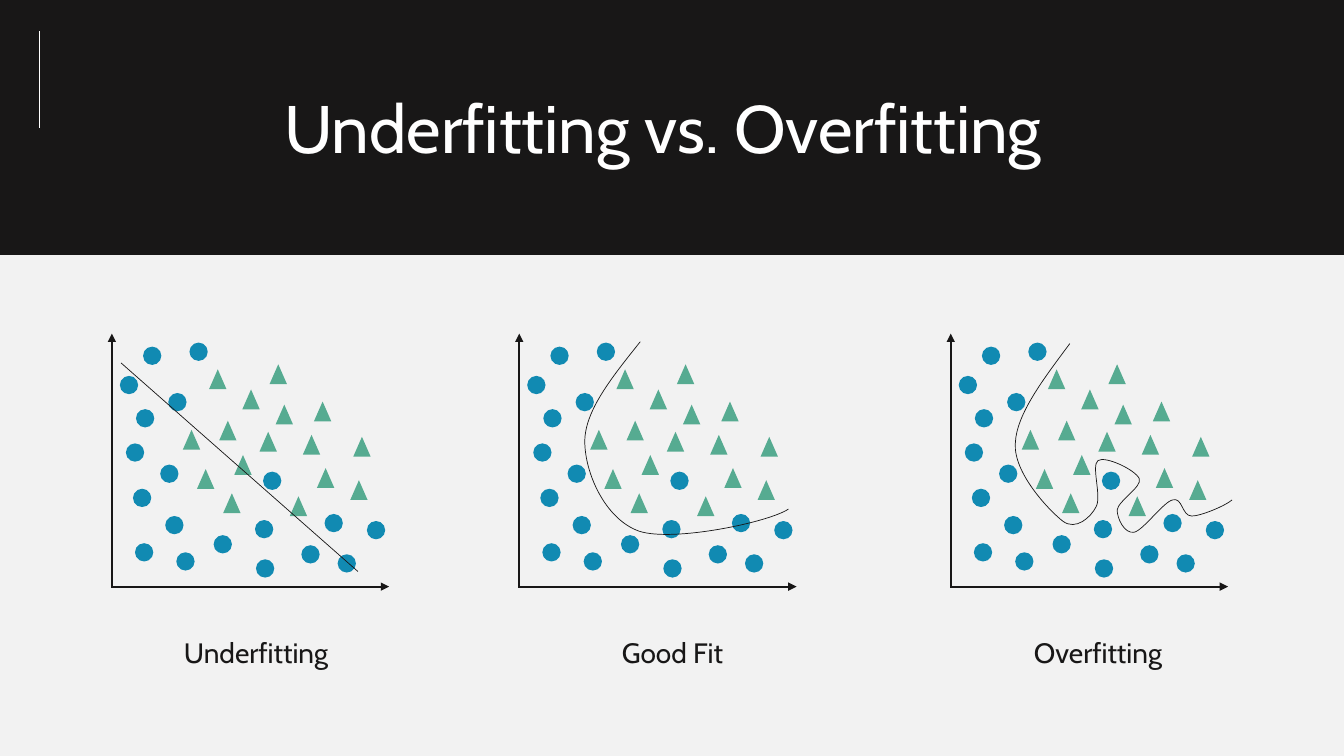
"""Build a slide that compares underfitting, a good fit and overfitting."""
from lxml.etree import SubElement
from pptx import Presentation
from pptx.dml.color import RGBColor
from pptx.enum.shapes import MSO_CONNECTOR, MSO_SHAPE
from pptx.enum.text import MSO_ANCHOR, MSO_AUTO_SIZE, PP_ALIGN
from pptx.oxml.ns import qn
from pptx.util import Inches, Pt

COLORS = {
    "background": "F2F2F2",
    "ink": "181717",
    "circle": "118AB2",
    "triangle": "56AB91",
    "white": "FFFFFF",
}
RGB = {name: RGBColor.from_string(value) for name, value in COLORS.items()}

CIRCLES = [
    (1.35, 5.4), (1.6, 4.62), (1.76, 5.49), (2.13, 5.32), (1.26, 4.41),
    (1.33, 4.86), (2.54, 5.17), (2.55, 5.56), (3, 5.42), (2.62, 4.69),
    (1.65, 5.13), (1.36, 4.07), (1.2, 3.74), (1.43, 3.45), (3.36, 5.51),
    (1.68, 3.91), (3.23, 5.11), (3.65, 5.18), (1.89, 3.41),
]
TRIANGLES = [
    (2.23, 4.92), (2.34, 4.54), (2.59, 4.31), (3.02, 4.34), (2.89, 4.95),
    (3.49, 4.79), (2.42, 3.89), (1.97, 4.68), (2.19, 4.2), (1.83, 4.29),
    (3.16, 4.67), (3.52, 4.36), (2.09, 3.69), (2.75, 4.04), (3.13, 4.01),
    (2.69, 3.64),
]
MARKERS = [
    (MSO_SHAPE.OVAL, CIRCLES, 0.16, "circle"),
    (MSO_SHAPE.ISOSCELES_TRIANGLE, TRIANGLES, 0.14, "triangle"),
]
PANELS = [
    ("Underfitting", 0, 1.44, 2.2),
    ("Good Fit", 4.04, 5.41, 2.52),
    ("Overfitting", 8.32, 9.79, 2.2),
]
GOOD_FIT = [
    (6.35, 3.39), (6.08, 3.73), (5.8, 4.07), (5.8, 4.38),
    (5.8, 4.69), (6, 5.15), (6.34, 5.27),
    (6.68, 5.38), (7.63, 5.18), (7.82, 5.05),
]
OVERFIT = [
    (10.61, 3.41), (10.35, 3.76), (10.08, 4.11), (10.07, 4.4),
    (10.05, 4.69), (10.4, 5.06), (10.54, 5.17),
    (10.67, 5.27), (10.82, 5.13), (10.87, 5.03),
    (10.93, 4.93), (10.82, 4.62), (10.89, 4.57),
    (10.96, 4.52), (11.26, 4.66), (11.3, 4.75),
    (11.33, 4.83), (11.09, 4.97), (11.08, 5.06),
    (11.08, 5.14), (11.15, 5.3), (11.25, 5.28),
    (11.34, 5.26), (11.54, 4.98), (11.63, 4.96),
    (11.73, 4.93), (11.72, 5.12), (11.82, 5.12),
    (11.91, 5.12), (12.15, 5.02), (12.22, 4.96),
]


def add_line(x1, y1, x2, y2, color, width, arrow=False):
    line = s.shapes.add_connector(
        MSO_CONNECTOR.STRAIGHT, Inches(x1), Inches(y1), Inches(x2), Inches(y2))
    line.line.color.rgb = RGB[color]
    line.line.width = Pt(width)
    if arrow:
        SubElement(line.element.spPr.find(qn("a:ln")), qn("a:tailEnd"), type="triangle")
    SubElement(line.element.spPr, qn("a:effectLst"))


def set_text(sp, text, size, color, align):
    tf = sp.text_frame
    tf.word_wrap = True
    tf.auto_size = MSO_AUTO_SIZE.SHAPE_TO_FIT_TEXT
    tf.vertical_anchor = MSO_ANCHOR.TOP
    p = tf.paragraphs[0]
    p.text = text
    p.alignment = align
    p.font.name = "Cabin"
    p.font.size = Pt(size)
    p.font.color.rgb = RGB[color]


prs = Presentation()
prs.slide_width, prs.slide_height = Inches(13.33), Inches(7.5)
s = prs.slides.add_slide(prs.slide_layouts[5])
s.background.fill.solid()
s.background.fill.fore_color.rgb = RGB["background"]

band = s.shapes.add_shape(MSO_SHAPE.RECTANGLE, 0, 0, prs.slide_width, Inches(2.53))
band.shadow.inherit = False
band.fill.solid()
band.fill.fore_color.rgb = RGB["ink"]
band.line.fill.background()

title = s.shapes.title
title.left, title.top = Inches(2.72), Inches(0.81)
title.width, title.height = Inches(7.89), Inches(0.91)
set_text(title, "Underfitting vs. Overfitting", 48, "white", PP_ALIGN.LEFT)
band.element.addnext(title.element)
add_line(0.39, 1.27, 0.39, 0.31, "white", 0.5)

for label, dx, left, width in PANELS:
    add_line(1.11 + dx, 5.83, 1.11 + dx, 3.31, "ink", 1.5, arrow=True)
    add_line(1.11 + dx, 5.82, 3.86 + dx, 5.82, "ink", 1.5, arrow=True)
    for kind, points, size, color in MARKERS:
        for x, y in points:
            sp = s.shapes.add_shape(
                kind, Inches(x + dx), Inches(y), Inches(size), Inches(0.16))
            sp.shadow.inherit = False
            sp.fill.solid()
            sp.fill.fore_color.rgb = RGB[color]
            sp.line.color.rgb = RGB[color]
            sp.line.width = Pt(1.5)
            SubElement(sp.element.spPr.find(qn("a:ln")), qn("a:miter"), lim="800000")
    box = s.shapes.add_textbox(Inches(left), Inches(6.26), Inches(width), Inches(0.44))
    set_text(box, label, 20, "ink", PP_ALIGN.CENTER)

add_line(1.2, 3.6, 3.55, 5.67, "ink", 0.5)
for curve in (GOOD_FIT, OVERFIT):
    points = [(Inches(x), Inches(y)) for x, y in curve]
    builder = s.shapes.build_freeform(*points[0])
    builder.add_line_segments(points[3::3], close=False)
    sp = builder.convert_to_shape()
    sp.shadow.inherit = False
    sp.fill.background()
    sp.line.color.rgb = RGB["ink"]
    sp.line.width = Pt(0.5)
    for i, segment in enumerate(list(sp.element.iter(qn("a:lnTo")))):
        segment.tag = qn("a:cubicBezTo")
        segment.remove(segment[0])
        for x, y in points[3 * i + 1:3 * i + 4]:
            SubElement(segment, qn("a:pt"), x=str(x - sp.left), y=str(y - sp.top))

prs.save("out.pptx")
